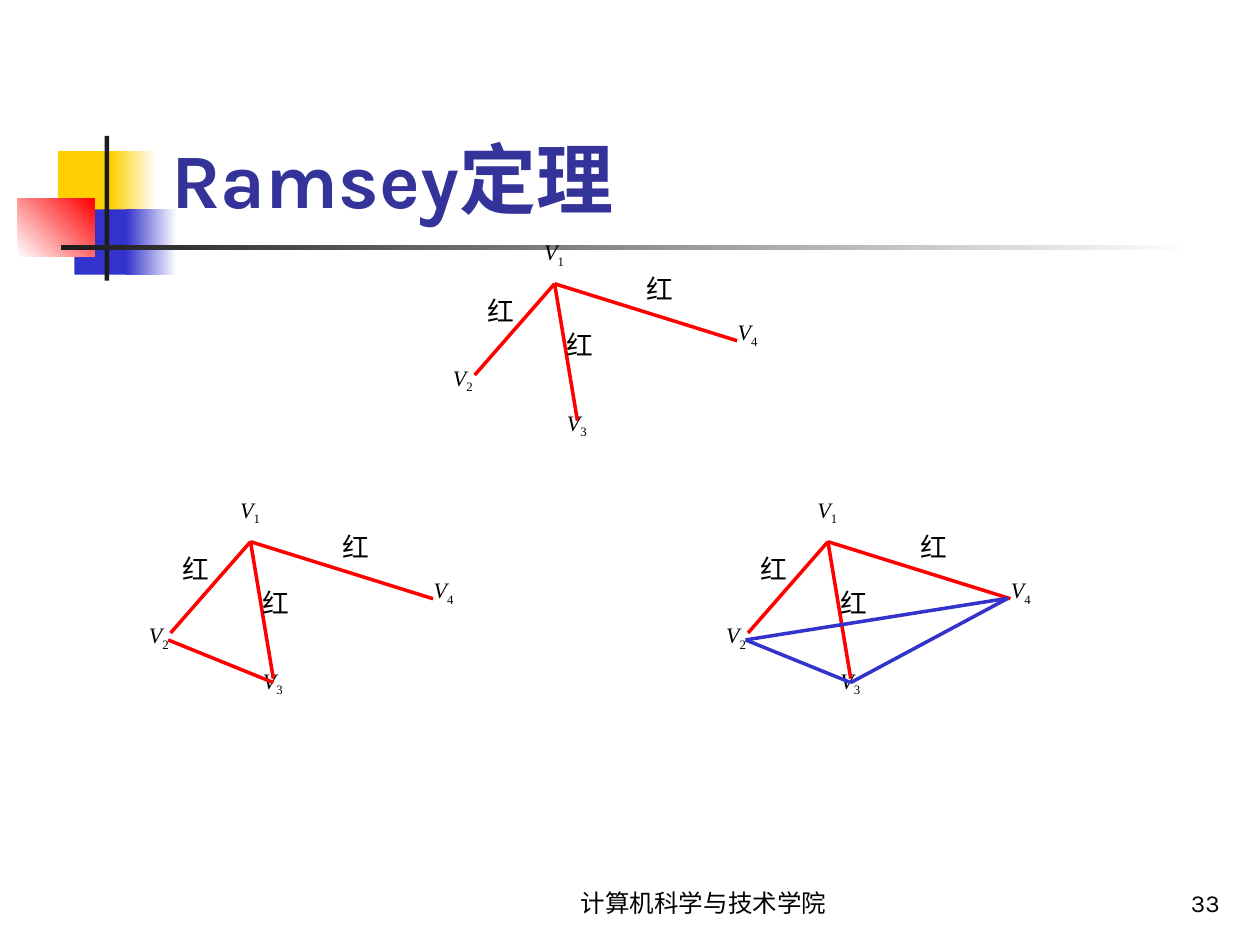
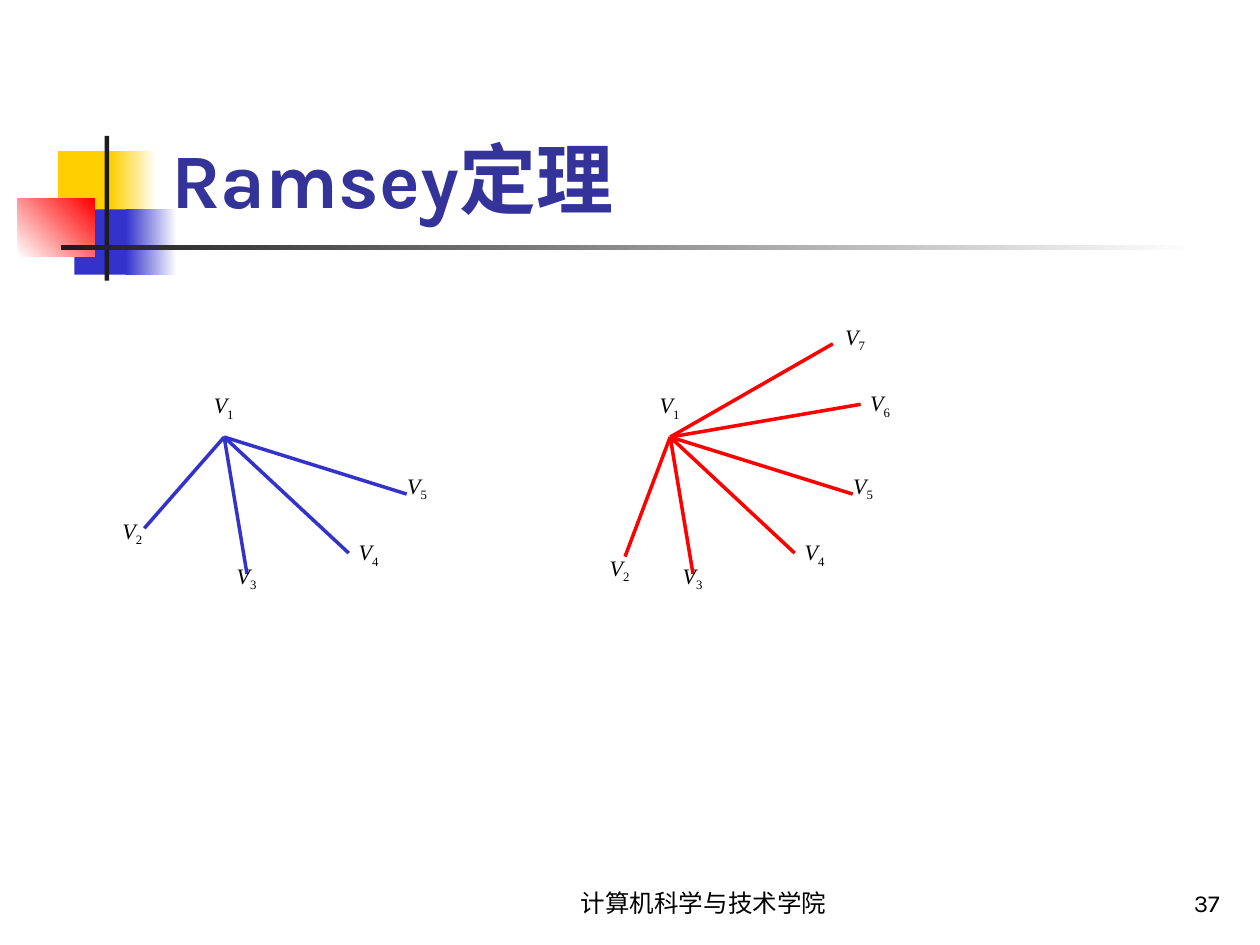
from pptx import Presentation
from pptx import util as u
from pptx.dml.color import RGBColor
from pptx.enum import shapes, text
from pptx.oxml.xmlchemy import OxmlElement

COLOURS = {
    "yellow": "FFCF01", "blue": "3333CC", "red": "FF0000", "white": "FFFFFF",
    "bar": "1C1C1C", "title": "333399", "ink": "000000",
}
CJK_FONT = "Noto Sans CJK SC"
FORMATS = {
    "title": {"name": "Karla", "size": u.Pt(44), "bold": True},
    "title_cjk": {"name": CJK_FONT, "size": u.Pt(44), "bold": True},
    "footer": {"name": "Karla", "size": u.Pt(14)},
    "vertex": {"name": "Times New Roman", "size": u.Pt(12.6), "italic": True},
    "index": {"name": "Times New Roman", "size": u.Pt(12.6), "italic": False},
    "edge": {"name": "Times New Roman", "size": u.Pt(15.3)},
}

# left, top, width, height in cm; start colour, end colour, gradient angle
DECORATION = [
    (1.17, 3.05, 1.22, 1.32, "yellow", None, 0),
    (2.24, 3.05, 0.91, 1.32, "yellow", "white", 0),
    (1.5, 4.22, 1.17, 1.32, "blue", None, 0),
    (2.54, 4.22, 1.02, 1.32, "blue", "white", 0),
    (0.36, 4.01, 1.55, 1.17, "white", "red", 45),
    (2.11, 2.74, 0.09, 2.92, "bar", None, 0),
    (1.23, 4.94, 22.86, 0.1, "bar", "white", 0),
]

# Offsets in cm from V1: where each spoke ends, and where its label box starts
APEX_LABEL = (-0.46, -0.98)
LOW_LEFT = ((-1.61, 1.84), (-2.3, 1.55))
STEEP_LEFT = ((-0.91, 2.41), (-1.47, 2.29))
DOWN = ((0.46, 2.76), (0, 2.46))
LOW_RIGHT = ((2.51, 2.34), (2.46, 1.98))
RIGHT = ((3.68, 1.15), (3.44, 0.64))
RISING = ((3.84, -0.66), (3.78, -1.02))
STEEP_RIGHT = ((3.28, -1.88), (3.28, -2.36))

# Corners of the triangle V2, V3, V4 and places of the edge labels
V2, V3, V4 = (-1.66, 1.98), (0.46, 2.84), (3.63, 1.14)
EDGE_LABELS = [(1.61, -0.28), (-1.61, 0.18), (0, 0.86)]

THREE = [LOW_LEFT, DOWN, RIGHT]
FOUR = [LOW_LEFT, DOWN, LOW_RIGHT, RIGHT]
SIX = [STEEP_LEFT, DOWN, LOW_RIGHT, RIGHT, RISING, STEEP_RIGHT]

# Per graph: V1, spoke colour, spokes from V2 on, edge labels, closing edges
SLIDES = [
    ("33", [
        ((11.18, 5.72), "red", THREE, EDGE_LABELS, []),
        ((5.05, 10.92), "red", THREE, EDGE_LABELS, [(V2, V3, "red")]),
        ((16.69, 10.92), "red", THREE, EDGE_LABELS,
         [(V2, V3, "blue"), (V2, V4, "blue"), (V4, V3, "blue")]),
    ]),
    ("37", [
        ((4.52, 8.81), "blue", FOUR, [], []),
        ((13.51, 8.81), "red", SIX, [], []),
    ]),
]


def write(holder, place, spans, align, anchor=text.MSO_ANCHOR.TOP, spacing=1.0, colour="ink"):
    """Add a one-paragraph text box; spans are (wording, format name) pairs."""
    box = holder.shapes.add_textbox(*map(u.Cm, place))
    frame = box.text_frame
    frame.word_wrap = True
    frame.vertical_anchor = anchor
    para = frame.paragraphs[0]
    para.alignment = align
    para.line_spacing = spacing
    for wording, style in spans:
        span = para.add_run()
        span.text = wording
        for name, value in FORMATS[style].items():
            setattr(span.font, name, value)
        span.font.color.rgb = RGBColor.from_string(COLOURS[colour])
        properties = span._r.get_or_add_rPr()
        east_asian = OxmlElement("a:ea")
        east_asian.set("typeface", CJK_FONT)
        properties.append(east_asian)
        if style == "index":
            properties.set("baseline", "-25000")


def draw_edge(holder, apex, start, end, colour):
    """Join two points given as offsets from the apex."""
    points = [u.Cm(origin + shift) for point in (start, end) for origin, shift in zip(apex, point)]
    edge = holder.shapes.add_connector(shapes.MSO_CONNECTOR.STRAIGHT, *points)
    edge.line.color.rgb = RGBColor.from_string(COLOURS[colour])
    edge.line.width = u.Pt(2)
    edge._element.spPr.append(OxmlElement("a:effectLst"))


deck = Presentation()
deck.slide_width, deck.slide_height = u.Cm(25.4), u.Cm(19.05)

for number, graphs in SLIDES:
    page = deck.slides.add_slide(deck.slide_layouts[6])

    for left, top, width, height, first, last, angle in DECORATION:
        block = page.shapes.add_shape(
            shapes.MSO_SHAPE.RECTANGLE, *map(u.Cm, (left, top, width, height)))
        block.shadow.inherit = False
        block.line.fill.background()
        if last:
            block.fill.gradient()
            block.fill.gradient_angle = angle
            for stop, colour in zip(block.fill.gradient_stops, (first, last)):
                stop.color.rgb = RGBColor.from_string(COLOURS[colour])
        else:
            block.fill.solid()
            block.fill.fore_color.rgb = RGBColor.from_string(COLOURS[first])

    bottom = text.MSO_ANCHOR.BOTTOM
    write(page, (10.16, 17.35, 8.05, 1.27), [("计算机科学与技术学院", "footer")],
          text.PP_ALIGN.CENTER, bottom)
    write(page, (19.56, 17.35, 5.28, 1.27), [(number, "footer")], text.PP_ALIGN.RIGHT, bottom)
    write(page, (3.2, 0.58, 21.64, 4.06), [("Ramsey", "title"), ("定理", "title_cjk")],
          text.PP_ALIGN.LEFT, bottom, colour="title")

    for apex, colour, spokes, edge_labels, closing_edges in graphs:
        graph = page.shapes.add_group_shape()
        for end, _ in spokes:
            draw_edge(graph, apex, (0, 0), end, colour)
        vertex_labels = [APEX_LABEL] + [label for _, label in spokes]
        labels = [(shift, [("V", "vertex"), (str(index), "index")], 0.8)
                  for index, shift in enumerate(vertex_labels, 1)]
        labels += [(shift, [("红", "edge")], 0.9) for shift in edge_labels]
        for (across, down), spans, spacing in labels:
            write(graph, (apex[0] + across, apex[1] + down, 1.14, 0.91), spans,
                  text.PP_ALIGN.JUSTIFY, spacing=spacing)
        for start, end, edge_colour in closing_edges:
            draw_edge(graph, apex, start, end, edge_colour)

deck.save("out.pptx")
